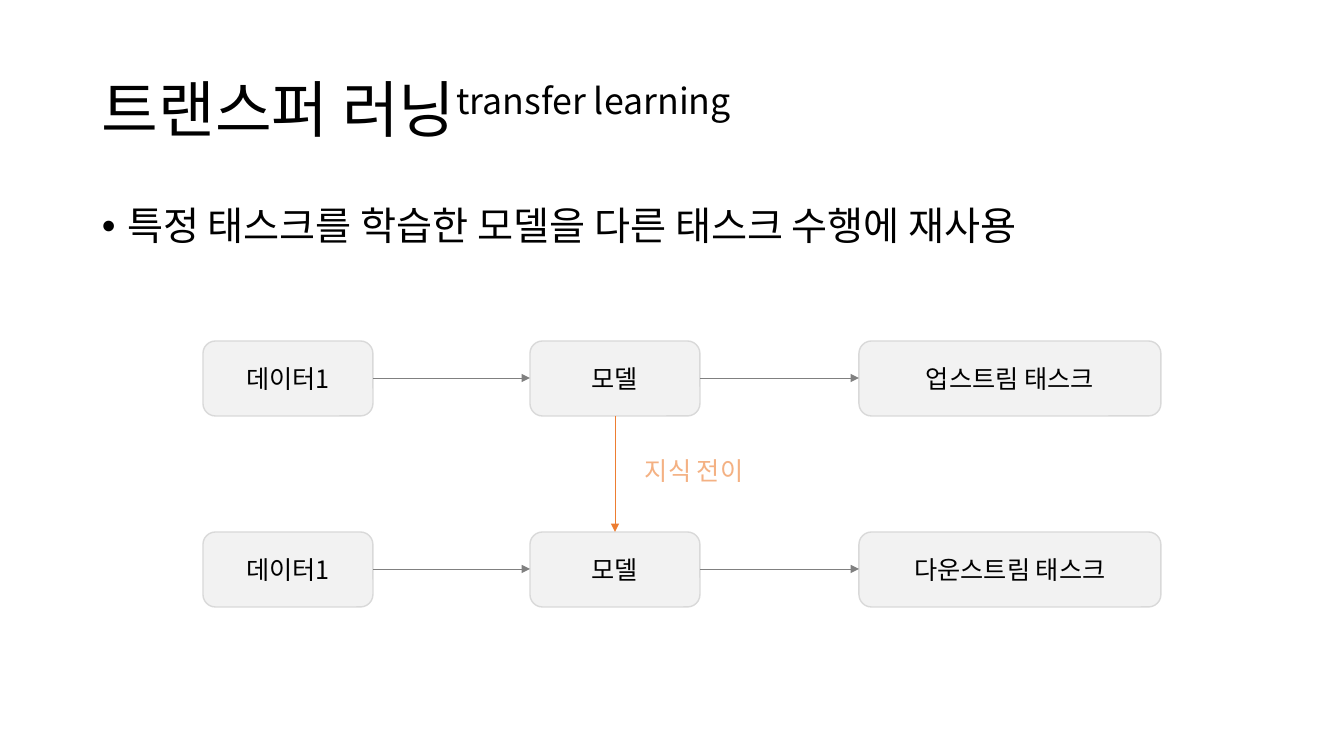
import pptx
import pptx.util
import pptx.dml.color
import pptx.enum.shapes
import pptx.enum.text
import pptx.oxml
import pptx.oxml.ns
import lxml.etree

SCALE = 914400 / 100.8
FONT = "Noto Sans CJK KR"
qn = pptx.oxml.ns.qn
align = pptx.enum.text.PP_ALIGN
anchor = pptx.enum.text.MSO_ANCHOR


def px(*nums):
    return [pptx.util.Emu(round(n * SCALE)) for n in nums]


def style(para, size, color):
    for run in para.runs:
        run.font.size = pptx.util.Pt(size)
        run.font.name = FONT
        run.font.color.rgb = pptx.dml.color.RGBColor.from_string(color)
        lxml.etree.SubElement(run.font._element, qn("a:ea")).set("typeface", FONT)


deck = pptx.Presentation()
deck.slide_width, deck.slide_height = px(1344, 756)
shapes = deck.slides.add_slide(deck.slide_layouts[6]).shapes

title = shapes.add_textbox(*px(92, 40, 1160, 146)).text_frame
title.word_wrap = True
title.vertical_anchor = anchor.MIDDLE
para = title.paragraphs[0]
para.text = "트랜스퍼 러닝"
para.add_run().text = "transfer learning"
para.line_spacing = 0.9
style(para, 44, "000000")
para.runs[1].font._element.set("baseline", "30000")

body = shapes.add_textbox(*px(92, 202, 1160, 480)).text_frame
body.word_wrap = True
para = body.paragraphs[0]
para.text = "특정 태스크를 학습한 모델을 다른 태스크 수행에 재사용"
para.line_spacing = 0.9
para.space_before = pptx.util.Pt(10)
style(para, 28, "000000")
props = para._p.get_or_add_pPr()
props.set("marL", "228600")
props.set("indent", "-228600")
lxml.etree.SubElement(props, qn("a:buFont")).set("typeface", "Arial")
lxml.etree.SubElement(props, qn("a:buChar")).set("char", "•")

cols = [(203, 170), (530, 170), (859, 302)]
tops = [341, 532]
high = 75
rows = [["데이터1", "모델", "업스트림 태스크"],
        ["데이터1", "모델", "다운스트림 태스크"]]
links = []
for top, row in zip(tops, rows):
    for (left, wide), word in zip(cols, row):
        box = shapes.add_shape(pptx.enum.shapes.MSO_SHAPE.ROUNDED_RECTANGLE,
                               *px(left, top, wide, high))
        box.shadow.inherit = False
        box.fill.solid()
        box.fill.fore_color.rgb = pptx.dml.color.RGBColor.from_string("F2F2F2")
        box.line.color.rgb = pptx.dml.color.RGBColor.from_string("D9D9D9")
        box.line.width = pptx.util.Pt(1)
        box.text_frame.vertical_anchor = anchor.MIDDLE
        para = box.text_frame.paragraphs[0]
        para.text = word
        para.alignment = align.CENTER
        style(para, 18, "000000")
    mid = top + high // 2
    for (left, wide), (end, _) in zip(cols, cols[1:]):
        links.append((left + wide, mid, end, mid, "808080"))

mid = cols[1][0] + cols[1][1] // 2
links.append((mid, tops[0] + high, mid, tops[1], "ED7D31"))
for *ends, color in links:
    link = shapes.add_connector(pptx.enum.shapes.MSO_CONNECTOR.STRAIGHT, *px(*ends))
    link.line.color.rgb = pptx.dml.color.RGBColor.from_string(color)
    link.line.width = pptx.util.Pt(0.5)
    tail = lxml.etree.SubElement(link.line._get_or_add_ln(), qn("a:tailEnd"))
    tail.set("type", "triangle")
    lxml.etree.SubElement(link._element.spPr, qn("a:effectLst"))

label = shapes.add_textbox(*px(635, 450, 131, 40)).text_frame
label.word_wrap = False
label.auto_size = pptx.enum.text.MSO_AUTO_SIZE.SHAPE_TO_FIT_TEXT
label.text = "지식 전이"
style(label.paragraphs[0], 18, "F4B183")

deck.save("out.pptx")
